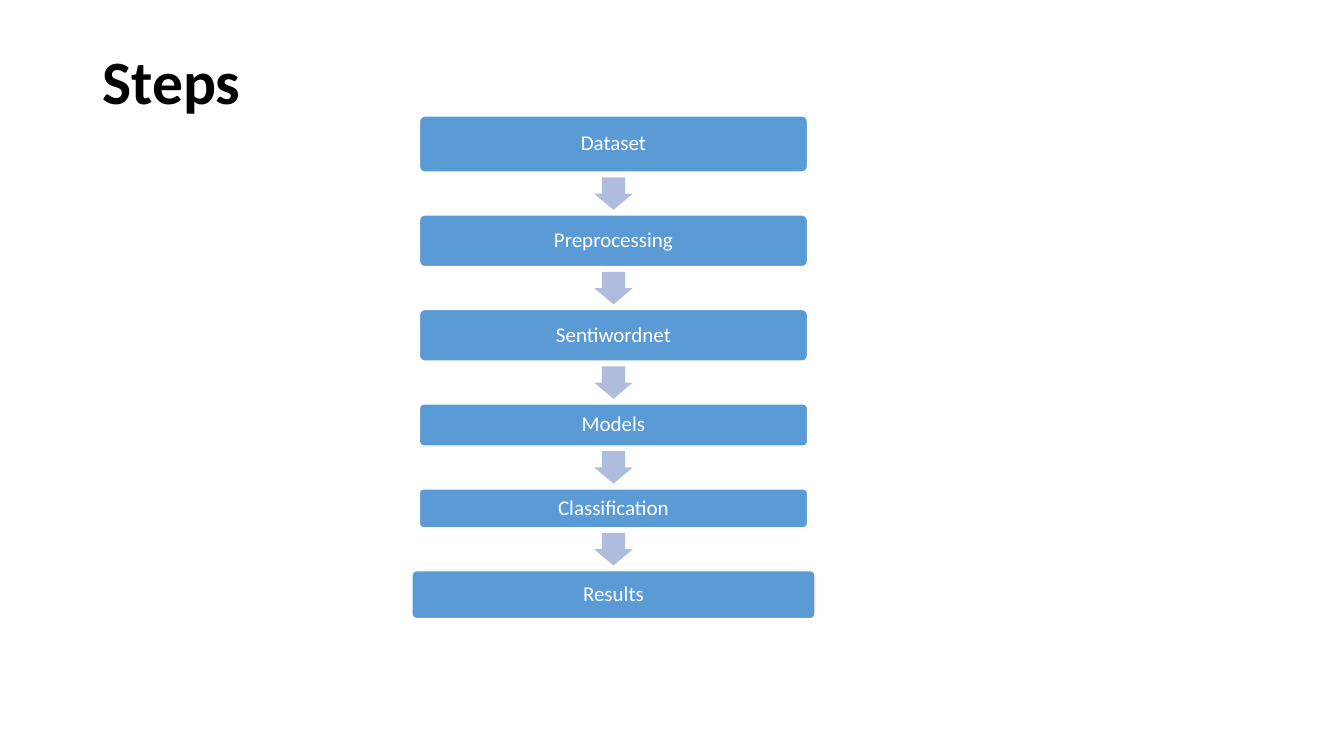
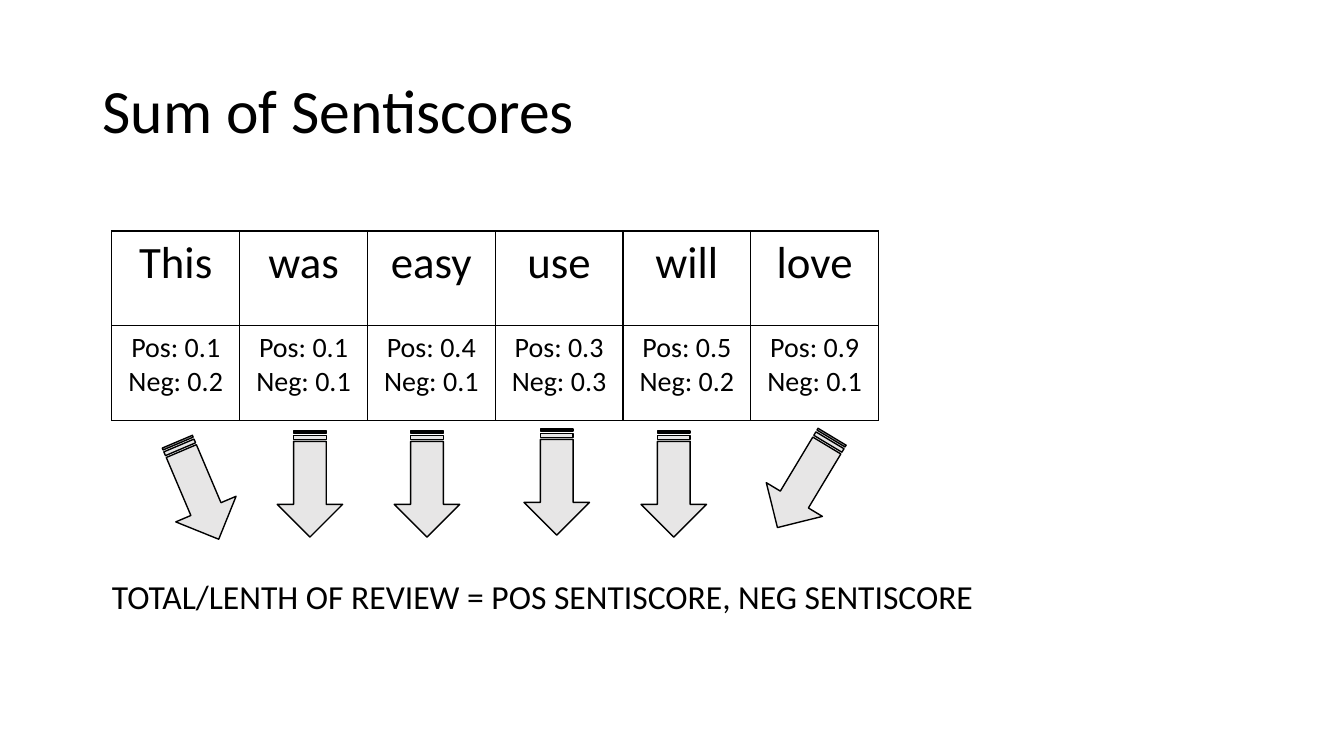
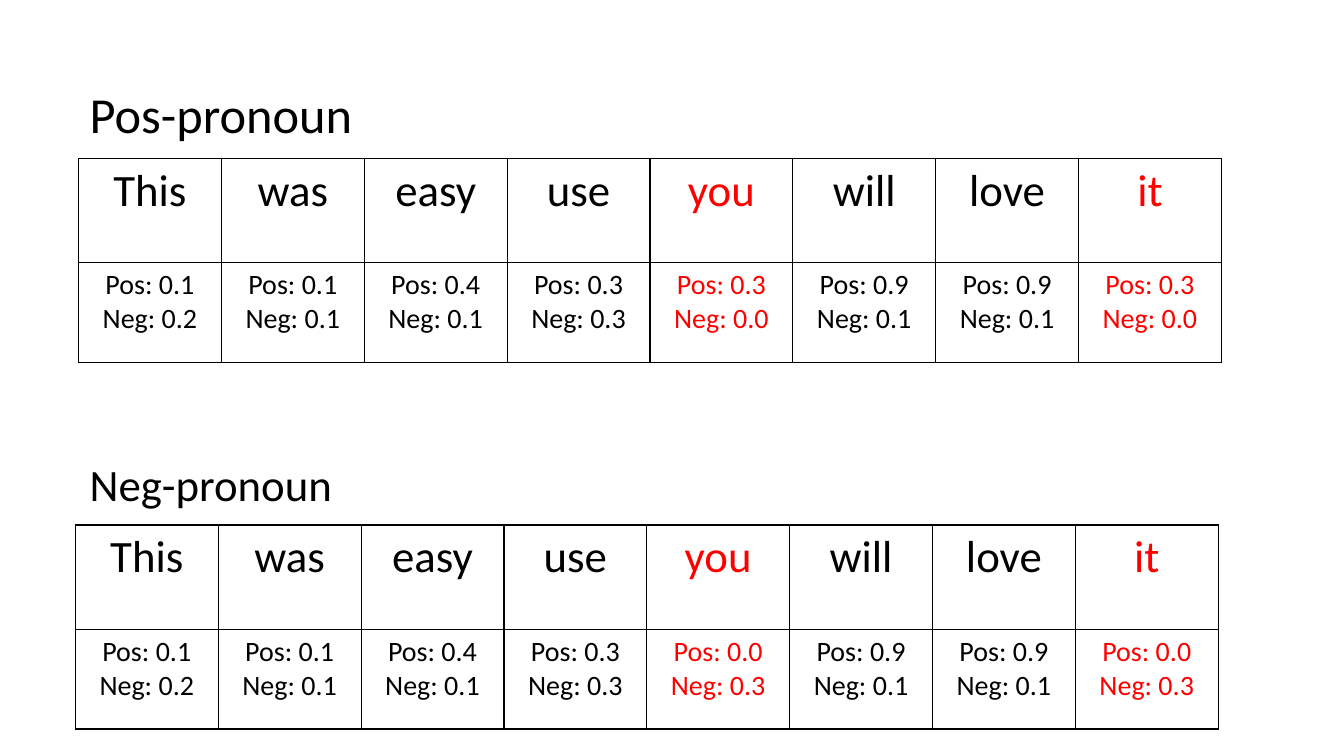
import dataclasses

import pptx
import pptx.dml.color
import pptx.enum.shapes
import pptx.enum.text
import pptx.oxml.ns
import pptx.util
from lxml import etree

Cm = pptx.util.Cm
Pt = pptx.util.Pt
SHAPES = pptx.enum.shapes.MSO_SHAPE
ALIGN = pptx.enum.text.PP_ALIGN
ANCHOR = pptx.enum.text.MSO_ANCHOR
AUTO_SIZE = pptx.enum.text.MSO_AUTO_SIZE


@dataclasses.dataclass(frozen=True)
class Theme:
    font: str = "Calibri"
    text: str = "000000"
    light: str = "FFFFFF"
    accent: str = "FF0000"
    step: str = "5B9BD5"
    step_arrow: str = "B0BCDE"
    sum_arrow: str = "E7E6E6"
    title_size: int = 44
    heading_size: int = 36
    word_size: int = 32
    formula_size: int = 24
    score_size: int = 20
    step_size: int = 15


def rgb(value):
    return pptx.dml.color.RGBColor.from_string(value)


class Deck:
    """Holds the theme and the current slide; all positions are in cm."""

    TITLE_ONLY, BLANK = 5, 6

    def __init__(self, theme):
        self.theme = theme
        self.presentation = pptx.Presentation()
        self.presentation.slide_width = Cm(33.87)
        self.presentation.slide_height = Cm(19.05)
        self.slide = None

    def add_slide(self, layout=TITLE_ONLY):
        layouts = self.presentation.slide_layouts
        self.slide = self.presentation.slides.add_slide(layouts[layout])

    def set_text(self, frame, lines, size, color=None, align=ALIGN.LEFT, bold=False, spacing=None):
        frame.text = "\n".join(lines)
        for paragraph in frame.paragraphs:
            paragraph.alignment = align
            paragraph.line_spacing = spacing
            paragraph.font.name = self.theme.font
            paragraph.font.size = Pt(size)
            paragraph.font.bold = bold
            paragraph.font.color.rgb = rgb(color or self.theme.text)

    def title(self, text, height, bold=False):
        shape = self.slide.shapes.title
        shape.left, shape.top, shape.width, shape.height = Cm(2.33), Cm(1.01), Cm(29.21), Cm(height)
        frame = shape.text_frame
        frame.auto_size = AUTO_SIZE.NONE
        frame.vertical_anchor = ANCHOR.MIDDLE
        self.set_text(frame, [text], self.theme.title_size, bold=bold, spacing=0.9)

    def text(self, text, left, top, width, height, size):
        shape = self.slide.shapes.add_textbox(Cm(left), Cm(top), Cm(width), Cm(height))
        shape.text_frame.word_wrap = True
        shape.text_frame.auto_size = AUTO_SIZE.SHAPE_TO_FIT_TEXT
        self.set_text(shape.text_frame, [text], size)

    def shape(self, kind, center_x, center_y, width, height, fill, line=None, adjustments=()):
        shape = self.slide.shapes.add_shape(
            kind, Cm(center_x - width / 2), Cm(center_y - height / 2), Cm(width), Cm(height))
        shape.shadow.inherit = False
        shape.fill.solid()
        shape.fill.fore_color.rgb = rgb(fill)
        if line:
            shape.line.color.rgb = rgb(line)
            shape.line.width = Pt(1)
        else:
            shape.line.fill.background()
        for index, value in enumerate(adjustments):
            shape.adjustments[index] = value
        return shape

    def step(self, text, center_x, center_y, width, height):
        shape = self.shape(SHAPES.ROUNDED_RECTANGLE, center_x, center_y, width, height,
                           self.theme.step, self.theme.light, [0.1])
        frame = shape.text_frame
        frame.word_wrap = True
        frame.vertical_anchor = ANCHOR.MIDDLE
        frame.margin_left = frame.margin_right = frame.margin_top = frame.margin_bottom = Cm(0.15)
        self.set_text(frame, [text], self.theme.step_size, self.theme.light, ALIGN.CENTER,
                      spacing=0.9)

    def step_arrow(self, center_x, center_y):
        arrow = self.shape(SHAPES.RIGHT_ARROW, center_x, center_y, 0.82, 0.97,
                           self.theme.step_arrow, adjustments=[0.6, 0.5])
        arrow.rotation = 90

    def sum_arrow(self, center_x, center_y, rotation):
        arrow = self.shape(SHAPES.STRIPED_RIGHT_ARROW, center_x, center_y, 2.67, 1.65,
                           self.theme.sum_arrow, self.theme.text)
        arrow.rotation = rotation

    def cell_borders(self, cell):
        properties = cell._tc.get_or_add_tcPr()
        for side in ("lnL", "lnR", "lnT", "lnB"):
            line = etree.SubElement(properties, pptx.oxml.ns.qn(f"a:{side}"), w=str(Pt(1)))
            fill = etree.SubElement(line, pptx.oxml.ns.qn("a:solidFill"))
            etree.SubElement(fill, pptx.oxml.ns.qn("a:srgbClr"), val=self.theme.text)

    def score_table(self, scores, left, top, column_width, row_heights, accented=()):
        """One column per word: the word above its positive and negative score."""
        table = self.slide.shapes.add_table(
            2, len(scores), Cm(left), Cm(top),
            Cm(column_width * len(scores)), Cm(sum(row_heights))).table
        table.first_row = table.horz_banding = False
        for row, height in zip(table.rows, row_heights):
            row.height = Cm(height)
        for index, (word, positive, negative) in enumerate(scores):
            table.columns[index].width = Cm(column_width)
            color = self.theme.accent if word in accented else self.theme.text
            contents = (([word], self.theme.word_size),
                        ([f"Pos: {positive}", f"Neg: {negative}"], self.theme.score_size))
            for row, (lines, size) in enumerate(contents):
                cell = table.cell(row, index)
                self.cell_borders(cell)
                cell.fill.background()
                self.set_text(cell.text_frame, lines, size, color, ALIGN.CENTER)


OPENING_SCORES = [("This", 0.1, 0.2), ("was", 0.1, 0.1), ("easy", 0.4, 0.1), ("use", 0.3, 0.3)]


def steps_slide(deck):
    deck.add_slide()
    deck.title("Steps", 2.24, bold=True)

    # Flow of steps, with an arrow in the middle of each equal gap
    center, top, gap = 15.46, 2.92, 1.08
    steps = [("Dataset", 9.78, 1.42), ("Preprocessing", 9.78, 1.3), ("Sentiwordnet", 9.78, 1.3),
             ("Models", 9.78, 1.06), ("Classification", 9.78, 0.98), ("Results", 10.16, 1.21)]
    for index, (name, width, height) in enumerate(steps):
        if index:
            deck.step_arrow(center, top - gap / 2)
        deck.step(name, center, top + height / 2, width, height)
        top += height + gap


def sum_slide(deck):
    deck.add_slide()
    deck.title("Sum of Sentiscores", 3.68)
    scores = OPENING_SCORES + [("will", 0.5, 0.2), ("love", 0.9, 0.1)]
    deck.score_table(scores, 2.82, 5.82, 3.22, (2.39, 2.39))

    # Arrows from the words to the total
    for center_x, center_y, rotation in [(4.99, 12.36, 67), (20.28, 12.15, 121), (7.81, 12.2, 90),
                                         (10.76, 12.2, 90), (14.03, 12.15, 90), (16.98, 12.2, 90)]:
        deck.sum_arrow(center_x, center_y, rotation)
    deck.text("TOTAL/LENTH OF REVIEW = POS SENTISCORE, NEG SENTISCORE",
              2.57, 14.38, 25.78, 1.27, deck.theme.formula_size)


def pronoun_slide(deck):
    deck.add_slide(Deck.BLANK)

    # Same words twice; only the pronoun scores swap
    sections = [("Pos-pronoun", 1.98, 1.8, deck.theme.heading_size, 1.98, 3.99, (0.3, 0.0)),
                ("Neg-pronoun", 11.38, 1.63, deck.theme.word_size, 1.9, 13.23, (0.0, 0.3))]
    for heading, heading_top, heading_height, size, left, top, pronoun in sections:
        deck.text(heading, 2.01, heading_top, 7.62, heading_height, size)
        scores = OPENING_SCORES + [("you", *pronoun), ("will", 0.9, 0.1),
                                   ("love", 0.9, 0.1), ("it", *pronoun)]
        deck.score_table(scores, left, top, 3.6, (2.63, 2.51), accented=("you", "it"))


def main():
    deck = Deck(Theme())
    steps_slide(deck)
    sum_slide(deck)
    pronoun_slide(deck)
    deck.presentation.save("out.pptx")


if __name__ == "__main__":
    main()
